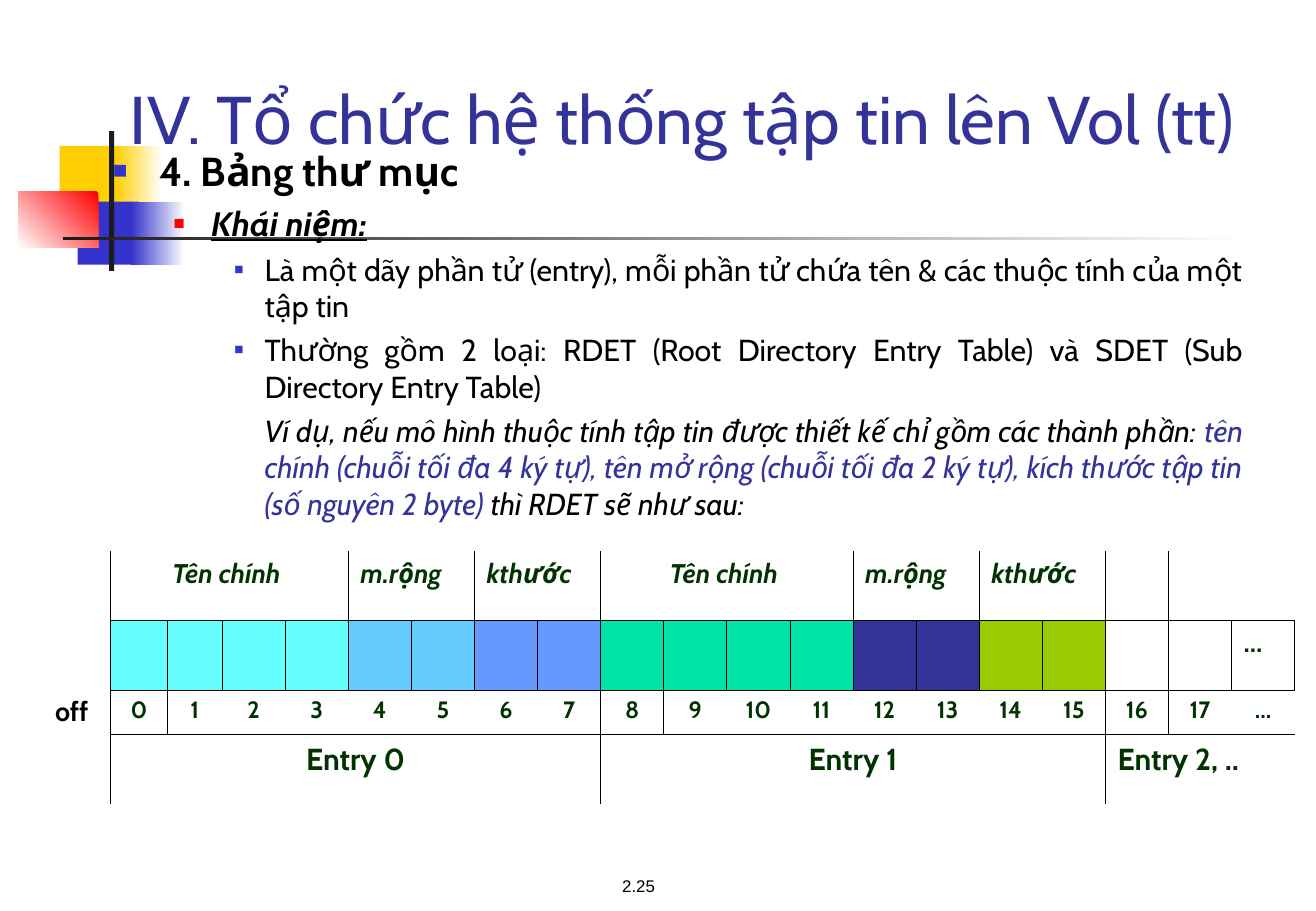
from dataclasses import dataclass
from typing import Optional

from lxml import etree
from pptx import Presentation
from pptx.dml.color import RGBColor
from pptx.enum.shapes import MSO_SHAPE
from pptx.enum.text import MSO_ANCHOR, MSO_AUTO_SIZE, PP_ALIGN
from pptx.oxml.ns import qn
from pptx.util import Inches, Pt

RECT = MSO_SHAPE.RECTANGLE
LEFT, CENTER, JUSTIFY = PP_ALIGN.LEFT, PP_ALIGN.CENTER, PP_ALIGN.JUSTIFY
BLACK = RGBColor(0x00, 0x00, 0x00)
WHITE = RGBColor(0xFF, 0xFF, 0xFF)
CHARCOAL = RGBColor(0x1C, 0x1C, 0x1C)
YELLOW = RGBColor(0xFF, 0xCF, 0x01)
BLUE = RGBColor(0x33, 0x33, 0xCC)
RED = RGBColor(0xFF, 0x00, 0x00)
INDIGO = RGBColor(0x33, 0x33, 0x99)
DARK_GREEN = RGBColor(0x00, 0x33, 0x00)
CYAN = RGBColor(0x66, 0xFF, 0xFF)
SKY = RGBColor(0x66, 0xCC, 0xFF)
CORNFLOWER = RGBColor(0x66, 0x99, 0xFF)
MINT = RGBColor(0x00, 0xE4, 0xA8)
LIME = RGBColor(0x99, 0xCC, 0x00)
NO_STYLE = "{2D5ABB26-0587-4C30-8999-92F81FD0307C}"


@dataclass
class Block:
    left: float
    top: float
    width: float
    height: float
    color: RGBColor
    end: Optional[RGBColor] = None
    angle: int = 180


@dataclass
class Level:
    margin: float
    hang: float
    size: int
    before: float
    bullet_color: RGBColor
    bullet_size: int
    align: PP_ALIGN = LEFT


@dataclass
class Field:
    label: str
    start: int
    span: int
    color: RGBColor
    align: PP_ALIGN = LEFT


BLOCKS = [
    Block(0.49, 1.2, 0.52, 0.52, YELLOW),
    Block(0.95, 1.2, 0.39, 0.52, WHITE, YELLOW),
    Block(0.64, 1.66, 0.5, 0.52, BLUE),
    Block(1.08, 1.66, 0.44, 0.52, WHITE, BLUE),
    Block(0.15, 1.58, 0.66, 0.46, RED, WHITE, 135),
    Block(0.9, 1.08, 0.04, 1.15, CHARCOAL),
    Block(0.52, 1.95, 9.75, 0.03, WHITE, CHARCOAL),
]
LEVELS = [
    Level(0.38, 0.38, 24, 6, BLUE, 60),
    Level(0.81, 0.31, 20, 5, RED, 55),
    Level(1.25, 0.25, 18, 4.5, BLUE, 50, JUSTIFY),
]
FIELDS = [
    Field("Tên chính ", 1, 4, CYAN, CENTER),
    Field("m.rộng", 5, 2, SKY),
    Field("kthước", 7, 2, CORNFLOWER),
    Field("Tên chính ", 9, 4, MINT, CENTER),
    Field("m.rộng", 13, 2, INDIGO),
    Field("kthước", 15, 2, LIME),
]
COLUMNS = [0.64, 0.47, 0.45] + [0.52] * 17
ROWS = [0.57, 0.57, 0.37, 0.57]
ENTRY_STARTS, ENTRY_ENDS = (1, 9, 17), (8, 16)
OFFSETS = [str(n) for n in range(18)] + ["..."]


def add_run(p, text: str, *, size: float, color: RGBColor = BLACK, bold: bool = False,
            italic: bool = False, underline: bool = False, font: str = "Cabin") -> None:
    r = p.add_run()
    r.text = text
    f = r.font
    f.name, f.size, f.bold, f.italic, f.underline = font, Pt(size), bold, italic, underline
    f.color.rgb = color


def add_block(slide, block: Block) -> None:
    sp = slide.shapes.add_shape(RECT, Inches(block.left), Inches(block.top),
                                Inches(block.width), Inches(block.height))
    sp.shadow.inherit = False
    sp.line.fill.background()
    if block.end is None:
        sp.fill.solid()
        sp.fill.fore_color.rgb = block.color
        return
    sp.fill.gradient()
    sp.fill.gradient_angle = 360 - block.angle
    for stop, color in zip(sp.fill.gradient_stops, (block.color, block.end)):
        stop.color.rgb = color


def place(slide, sp, left: float, top: float, width: float, height: float):
    """Move a placeholder above the decoration and return its text frame."""
    slide.shapes.element.append(sp.element)
    sp.left, sp.top, sp.width, sp.height = map(Inches, (left, top, width, height))
    sp.text_frame.auto_size = MSO_AUTO_SIZE.NONE
    return sp.text_frame


def add_item(tf, depth: int, bullet: bool = True):
    """Return a list paragraph at the given depth, ready for runs."""
    level = LEVELS[depth]
    first = not tf.paragraphs[0].runs
    p = tf.paragraphs[0] if first else tf.add_paragraph()
    p.level, p.alignment = depth, level.align
    p_pr = p._p.get_or_add_pPr()
    p_pr.set("marL", str(Inches(level.margin)))
    p_pr.set("indent", str(-Inches(level.hang) if bullet else 0))
    if bullet:
        color = etree.SubElement(p_pr, qn("a:buClr"))
        etree.SubElement(color, qn("a:srgbClr"), val=str(level.bullet_color))
        etree.SubElement(p_pr, qn("a:buSzPct"), val=str(level.bullet_size * 1000))
        etree.SubElement(p_pr, qn("a:buFont"), typeface="Arial")
        etree.SubElement(p_pr, qn("a:buChar"), char="■")
    else:
        etree.SubElement(p_pr, qn("a:buNone"))
    p.space_before = Pt(0 if first else level.before)
    return p


def set_borders(cell, sides: str) -> None:
    """Draw thin black lines on the sides named by the letters L, R, T, B."""
    tc_pr = cell._tc.get_or_add_tcPr()
    for side in "LRTB":
        if side in sides:
            ln = etree.SubElement(tc_pr, qn(f"a:ln{side}"), w=str(Pt(0.45)))
            fill = etree.SubElement(ln, qn("a:solidFill"))
            etree.SubElement(fill, qn("a:srgbClr"), val=str(BLACK))


def fill_cell(cell, text: str = "", *, sides: str = "", fill: Optional[RGBColor] = None,
              align: PP_ALIGN = CENTER, size: float = 16, color: RGBColor = DARK_GREEN,
              italic: bool = False) -> None:
    set_borders(cell, sides)
    if fill is None:
        cell.fill.background()
    else:
        cell.fill.solid()
        cell.fill.fore_color.rgb = fill
    if text:
        p = cell.text_frame.paragraphs[0]
        p.alignment = align
        add_run(p, text, size=size, color=color, bold=True, italic=italic)


def add_directory_table(slide) -> None:
    frame = slide.shapes.add_table(len(ROWS), len(COLUMNS), Inches(0.27), Inches(4.54),
                                   Inches(sum(COLUMNS)), Inches(sum(ROWS)))
    table = frame.table
    table.first_row = table.horz_banding = False
    table._tbl.tblPr.find(qn("a:tableStyleId")).text = NO_STYLE
    for column, width in zip(table.columns, COLUMNS):
        column.width = Inches(width)
    for row, height in zip(table.rows, ROWS):
        row.height = Inches(height)

    for i, text in enumerate(["", "", "off", ""]):
        fill_cell(table.cell(i, 0), text, sides="R", color=BLACK)
    for field in FIELDS:
        head = table.cell(0, field.start)
        head.merge(table.cell(0, field.start + field.span - 1))
        fill_cell(head, field.label, sides="LRB", align=field.align, italic=True)
        for c in range(field.start, field.start + field.span):
            fill_cell(table.cell(1, c), sides="LRTB", fill=field.color)
    for c in range(17, 20):
        fill_cell(table.cell(0, c), sides="LB" if c == 17 else "B")
        fill_cell(table.cell(1, c), "..." if c == 19 else "", sides="LRTB", align=LEFT)
    for c, offset in enumerate(OFFSETS, 1):
        sides = "T" + "L" * (c in ENTRY_STARTS) + "R" * (c in ENTRY_ENDS)
        fill_cell(table.cell(2, c), offset, sides=sides, size=14)
    for start, end, text in zip(ENTRY_STARTS, (*ENTRY_ENDS, 19),
                                ("Entry 0", "Entry 1", "Entry 2, ..")):
        entry = table.cell(3, start)
        entry.merge(table.cell(3, end))
        last = end == 19
        fill_cell(entry, text, sides="L" if last else "LR", size=18,
                  align=LEFT if last else CENTER)


def main() -> None:
    prs = Presentation()
    prs.slide_width, prs.slide_height = Inches(10.84), Inches(7.5)
    slide = prs.slides.add_slide(prs.slide_layouts[1])
    for block in BLOCKS:
        add_block(slide, block)

    number = slide.shapes.add_textbox(Inches(4.79), Inches(7.16), Inches(0.94), Inches(0.27))
    tf = number.text_frame
    tf.word_wrap, tf.vertical_anchor = False, MSO_ANCHOR.MIDDLE
    tf.paragraphs[0].alignment = CENTER
    add_run(tf.paragraphs[0], "2.25", size=10, font="Arial")

    tf = place(slide, slide.shapes.title, 0.97, 0.43, 9.86, 0.92)
    tf.vertical_anchor = MSO_ANCHOR.BOTTOM
    tf.paragraphs[0].alignment = LEFT
    add_run(tf.paragraphs[0], "IV. Tổ chức hệ thống tập tin lên Vol (tt)", size=40, color=INDIGO)

    tf = place(slide, slide.placeholders[1], 0.83, 1.15, 9.51, 4)
    add_run(add_item(tf, 0), "4. Bảng thư mục", size=24, bold=True)
    add_run(add_item(tf, 1), "Khái niệm:", size=20, bold=True, italic=True, underline=True)
    for text in (
        "Là một dãy phần tử (entry), mỗi phần tử chứa tên & các thuộc tính của một tập tin ",
        "Thường gồm 2 loại: RDET (Root Directory Entry Table) và SDET "
        "(Sub Directory Entry Table)",
    ):
        add_run(add_item(tf, 2), text, size=18)
    p = add_item(tf, 2, bullet=False)
    for text, color in (
        ("Ví dụ, nếu mô hình thuộc tính tập tin được thiết kế chỉ gồm các thành phần: ", BLACK),
        ("tên chính (chuỗi tối đa 4 ký tự), tên mở rộng (chuỗi tối đa 2 ký tự), "
         "kích thước tập tin (số nguyên 2 byte)", INDIGO),
        (" thì RDET sẽ như sau: ", BLACK),
    ):
        add_run(p, text, size=18, color=color, italic=True)

    add_directory_table(slide)
    prs.save("out.pptx")


if __name__ == "__main__":
    main()
